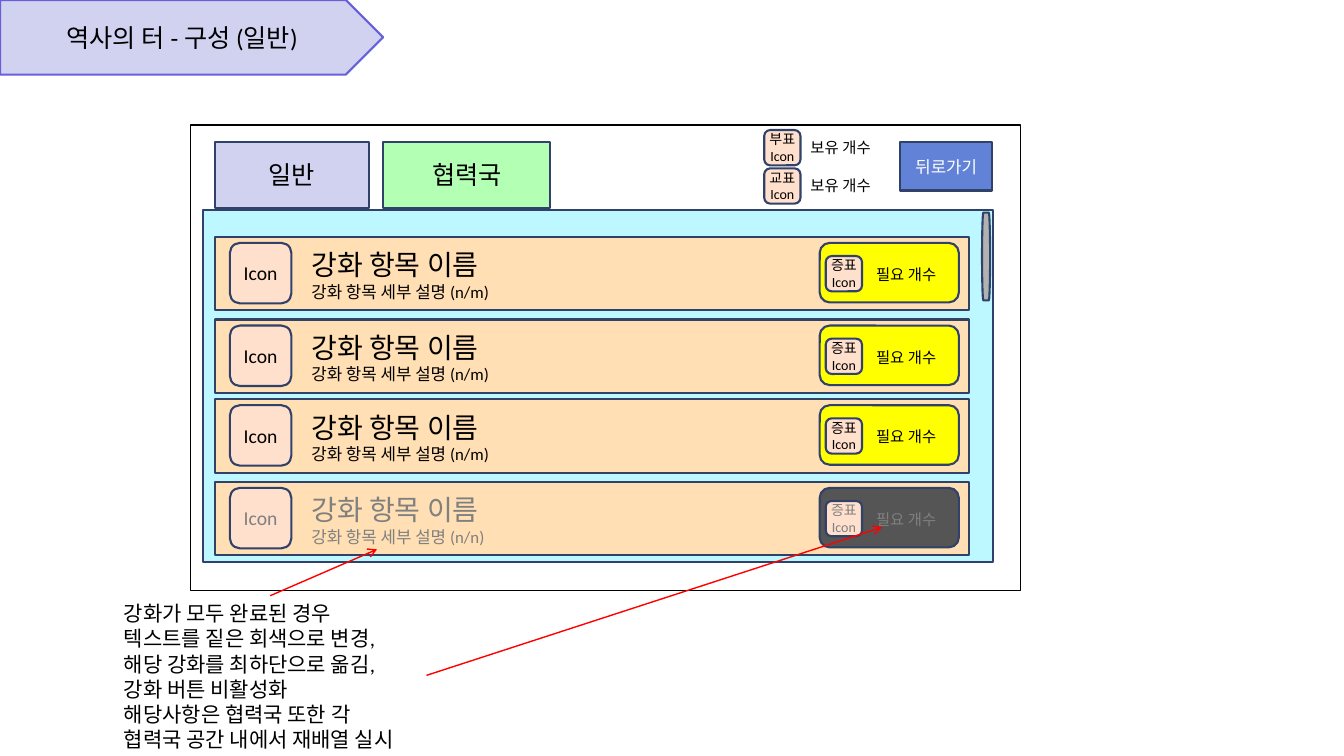
import pptx
import pptx.dml.color
import pptx.enum.shapes
import pptx.enum.text
import pptx.oxml.ns
import pptx.util
from lxml import etree

RGBColor = pptx.dml.color.RGBColor
Shape = pptx.enum.shapes.MSO_SHAPE
Align = pptx.enum.text.PP_ALIGN
Anchor = pptx.enum.text.MSO_ANCHOR

BLACK = RGBColor(0x00, 0x00, 0x00)
WHITE = RGBColor(0xFF, 0xFF, 0xFF)
RED = RGBColor(0xFF, 0x00, 0x00)
NAVY = RGBColor(0x30, 0x41, 0x6A)
VIOLET = RGBColor(0x66, 0x60, 0xDA)
LAVENDER = RGBColor(0xD1, 0xD1, 0xF0)
CYAN = RGBColor(0xBD, 0xF7, 0xFF)
GREEN = RGBColor(0xB3, 0xFF, 0xB3)
BLUE = RGBColor(0x61, 0x82, 0xD6)
ORANGE = RGBColor(0xFF, 0xDF, 0xB3)
PINK = RGBColor(0xFF, 0xE0, 0xCC)
YELLOW = RGBColor(0xFF, 0xFF, 0x00)
DARK_GRAY = RGBColor(0x55, 0x55, 0x55)
TEXT_GRAY = RGBColor(0x80, 0x80, 0x80)
SCROLL_GRAY = RGBColor(0xB2, 0xB2, 0xB2)


def px(length):
    """Turn px, 100 to the inch, into EMU."""
    return pptx.util.Emu(length * 9144)


class Wireframe:
    font = "Calibri"

    def __init__(self, deck):
        self.slide = deck.slides.add_slide(deck.slide_layouts[6])

    def add_lines(self, frame, lines, color, align):
        """Fill a text frame from (text, size) pairs, one paragraph each."""
        frame.word_wrap = True
        for index, (text, size) in enumerate(lines):
            para = frame.paragraphs[0] if index == 0 else frame.add_paragraph()
            para.alignment = align
            span = para.add_run()
            span.text = text
            span.font.name = self.font
            span.font.size = pptx.util.Pt(size)
            span.font.color.rgb = color

    def shape(self, kind, bounds, fill=None, line=NAVY, width=1.5,
              lines=(), color=BLACK, inset=None):
        box = self.slide.shapes.add_shape(kind, *map(px, bounds))
        box.shadow.inherit = False
        if fill is None:
            box.fill.background()
        else:
            box.fill.solid()
            box.fill.fore_color.rgb = fill
        box.line.color.rgb = line
        box.line.width = pptx.util.Pt(width)
        frame = box.text_frame
        frame.vertical_anchor = Anchor.MIDDLE
        if inset is not None:
            frame.margin_left = frame.margin_right = px(inset)
            frame.margin_top = frame.margin_bottom = px(inset)
        self.add_lines(frame, lines, color, Align.CENTER)

    def text(self, bounds, lines, color=BLACK):
        box = self.slide.shapes.add_textbox(*map(px, bounds))
        self.add_lines(box.text_frame, lines, color, Align.LEFT)

    def badge(self, left, top, name, color=BLACK):
        """Small rounded currency icon with a two-line label."""
        self.shape(Shape.FLOWCHART_ALTERNATE_PROCESS, (left, top, 36, 35), PINK,
                   lines=[(name, 10), ("Icon", 10)], color=color, inset=0)

    def upgrade_row(self, top, progress, color, button_fill):
        rounded = Shape.FLOWCHART_ALTERNATE_PROCESS
        self.shape(Shape.RECTANGLE, (213, top, 748, 73), ORANGE)
        self.shape(rounded, (228, top + 6, 61, 60), PINK,
                   lines=[("Icon", 14)], color=color)
        self.text((299, top + 6, 247, 63),
                  [("강화 항목 이름", 20), (f"강화 항목 세부 설명 {progress}", 12)], color)
        self.shape(rounded, (813, top + 6, 138, 59), button_fill)
        self.badge(819, top + 19, "증표", color)
        self.text((859, top + 23, 88, 29), [("필요 개수", 11)], color)

    def arrow(self, start, end):
        line = self.slide.shapes.add_connector(
            pptx.enum.shapes.MSO_CONNECTOR.STRAIGHT, *map(px, start + end))
        line.line.color.rgb = RED
        line.line.width = pptx.util.Pt(1)
        properties = line._element.spPr
        etree.SubElement(properties.find(pptx.oxml.ns.qn("a:ln")),
                         pptx.oxml.ns.qn("a:tailEnd"), type="arrow")
        etree.SubElement(properties, pptx.oxml.ns.qn("a:effectLst"))


def main():
    deck = pptx.Presentation()
    deck.slide_width, deck.slide_height = px(1333), px(750)
    page = Wireframe(deck)

    page.shape(Shape.RECTANGLE, (189, 124, 823, 462), line=BLACK, width=1)
    page.shape(Shape.PENTAGON, (0, 0, 380, 74), LAVENDER, VIOLET,
               lines=[("역사의 터 - 구성 (일반)", 18)])
    page.shape(Shape.RECTANGLE, (201, 208, 784, 350), CYAN)

    for left, width, fill, label in ((213, 153, LAVENDER, "일반"),
                                     (380, 166, GREEN, "협력국")):
        page.shape(Shape.RECTANGLE, (left, 141, width, 65), fill,
                   lines=[(label, 18)])
    page.shape(Shape.RECTANGLE, (893, 141, 91, 48), BLUE,
               lines=[("뒤로가기", 12)], color=WHITE)

    for top in (235, 317, 396):
        page.upgrade_row(top, "(n/m)", BLACK, YELLOW)
    page.upgrade_row(478, "(n/n)", TEXT_GRAY, DARK_GRAY)

    for top, name in ((129, "부표"), (167, "교표")):
        page.badge(758, top, name)
        page.text((794, top + 3, 88, 28), [("보유 개수", 11)])

    note = ("강화가 모두 완료된 경우", "텍스트를 짙은 회색으로 변경,",
            "해당 강화를 최하단으로 옮김,", "강화 버튼 비활성화",
            "해당사항은 협력국 또한 각", "협력국 공간 내에서 재배열 실시")
    page.text((113, 591, 310, 159), [(line, 15) for line in note])
    page.arrow((268, 591), (374, 545))
    page.shape(Shape.FLOWCHART_TERMINATOR, (974, 211, 8, 87), SCROLL_GRAY)
    page.arrow((423, 670), (875, 523))

    deck.save("out.pptx")


if __name__ == "__main__":
    main()
